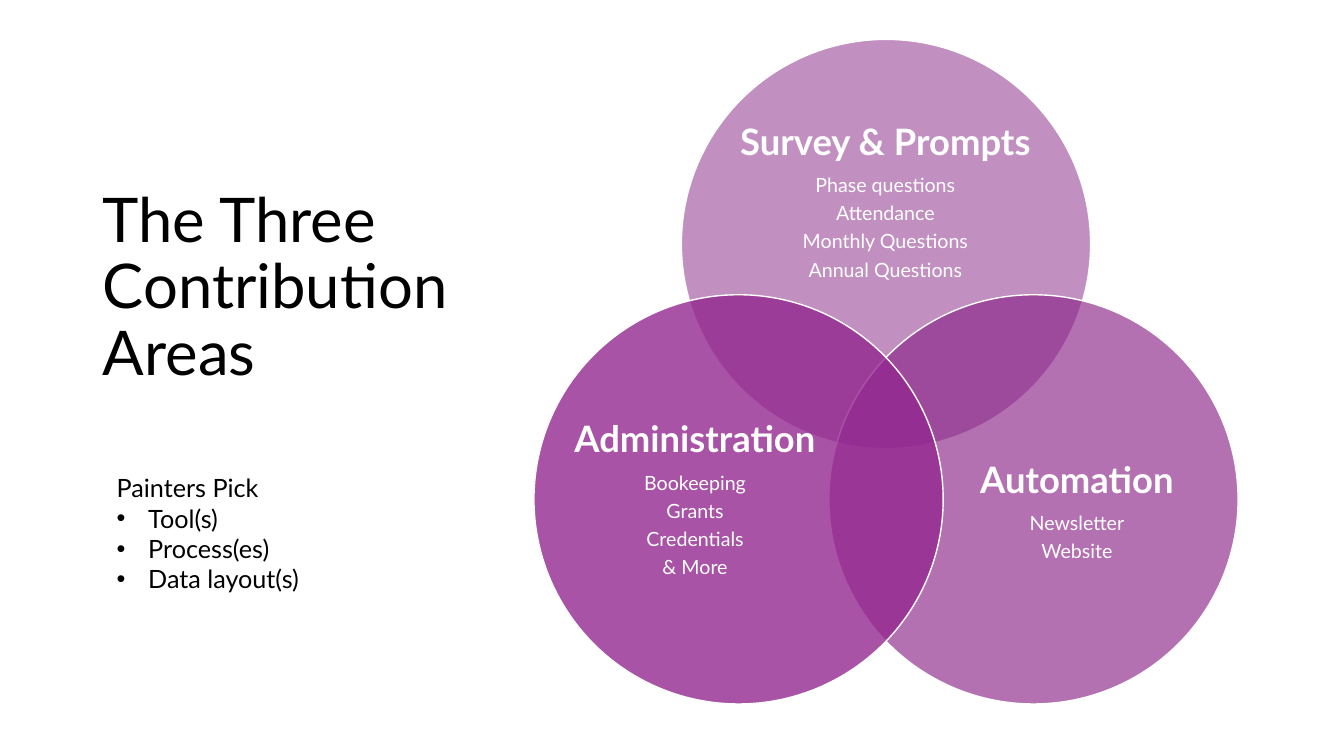
from math import cos, radians, sin

from lxml.etree import SubElement
from pptx import Presentation
from pptx.dml.color import RGBColor
from pptx.enum.shapes import MSO_SHAPE
from pptx.enum.text import MSO_ANCHOR, MSO_AUTO_SIZE, PP_ALIGN
from pptx.oxml.ns import qn
from pptx.util import Pt

FONT = "Lato"
BLACK = RGBColor(0x00, 0x00, 0x00)
WHITE = RGBColor(0xFF, 0xFF, 0xFF)
LIGHT_PLUM = RGBColor(0x85, 0x23, 0x82)
MID_PLUM = RGBColor(0x8C, 0x26, 0x89)
DEEP_PLUM = RGBColor(0x93, 0x28, 0x90)

DIAMETER = 292.3
CENTRE_X, CENTRE_Y = 632.9, 295.9
SPREAD = 121.6  # distance from the diagram's centre to each circle's centre


def add_text(paragraph, text, size, color, bold=False):
    """Append one formatted run to a paragraph."""
    run = paragraph.add_run()
    run.text = text
    run.font.name = FONT
    run.font.size = Pt(size)
    run.font.bold = bold
    run.font.color.rgb = color


presentation = Presentation()
presentation.slide_width, presentation.slide_height = Pt(960), Pt(540)
slide = presentation.slides.add_slide(presentation.slide_layouts[5])

# Title: no right inset, so that the longest word fits on one line
title = slide.shapes.title
title.left, title.top, title.width, title.height = Pt(66.2), Pt(28.8), Pt(261), Pt(355)
title_frame = title.text_frame
title_frame.word_wrap = True
title_frame.auto_size = MSO_AUTO_SIZE.NONE
title_frame.vertical_anchor = MSO_ANCHOR.MIDDLE
title_frame.margin_right = 0
heading = title_frame.paragraphs[0]
heading.alignment = PP_ALIGN.LEFT
heading.line_spacing = 0.9
add_text(heading, "The Three Contribution Areas", 44, BLACK)

# Venn diagram: angle clockwise from the top, fill, opacity %, label box,
# bottom inset of the label, name, items
areas = [
    (0, LIGHT_PLUM, 50, (525.6, 79.2, 213.8, 131), 0, "Survey & Prompts",
     ["Phase questions", "Attendance", "Monthly Questions", "Annual Questions"]),
    (120, MID_PLUM, 65, (681.8, 285.8, 175, 160.6), 0, "Automation",
     ["Newsletter", "Website"]),
    (240, DEEP_PLUM, 80, (409, 285.8, 175, 160.6), 18, "Administration",
     ["Bookeeping", "Grants", "Credentials", "& More"]),
]
venn = slide.shapes.add_group_shape()
for angle, color, opacity, label_box, bottom_inset, area_name, items in areas:
    left = CENTRE_X + SPREAD * sin(radians(angle)) - DIAMETER / 2
    top = CENTRE_Y - SPREAD * cos(radians(angle)) - DIAMETER / 2
    circle = venn.shapes.add_shape(
        MSO_SHAPE.OVAL, Pt(left), Pt(top), Pt(DIAMETER), Pt(DIAMETER))
    circle.shadow.inherit = False
    circle.fill.solid()
    circle.fill.fore_color.rgb = color
    fill_color = circle.fill._xPr.find(qn("a:solidFill"))[0]
    SubElement(fill_color, qn("a:alpha"), val=str(opacity * 1000))
    circle.line.color.rgb = WHITE
    circle.line.width = Pt(1)

    label = venn.shapes.add_textbox(*map(Pt, label_box)).text_frame
    label.word_wrap = True
    label.vertical_anchor = MSO_ANCHOR.MIDDLE
    label.margin_left = label.margin_right = label.margin_top = 0
    label.margin_bottom = Pt(bottom_inset)
    for index, text in enumerate([area_name] + items):
        is_name = index == 0
        size = 26 if is_name else 14
        line = label.paragraphs[0] if is_name else label.add_paragraph()
        line.alignment = PP_ALIGN.CENTER
        line.line_spacing = 0.9
        line.space_after = Pt(0.35 * size)
        add_text(line, text, size, WHITE, bold=is_name)

# What painters pick
picks = slide.shapes.add_textbox(Pt(76.3), Pt(334.1), Pt(218.2), Pt(116.6)).text_frame
picks.word_wrap = True
picks.auto_size = MSO_AUTO_SIZE.SHAPE_TO_FIT_TEXT
add_text(picks.paragraphs[0], "Painters Pick", 18, BLACK)
for choice in ["Tool(s)", "Process(es)", "Data layout(s)"]:
    bullet = picks.add_paragraph()
    properties = bullet._p.get_or_add_pPr()
    properties.set("marL", str(Pt(22.5)))
    properties.set("indent", str(-Pt(22.5)))
    SubElement(properties, qn("a:buFont"), typeface="Arial")
    SubElement(properties, qn("a:buChar"), char="•")
    add_text(bullet, choice, 18, BLACK)

presentation.save("out.pptx")
